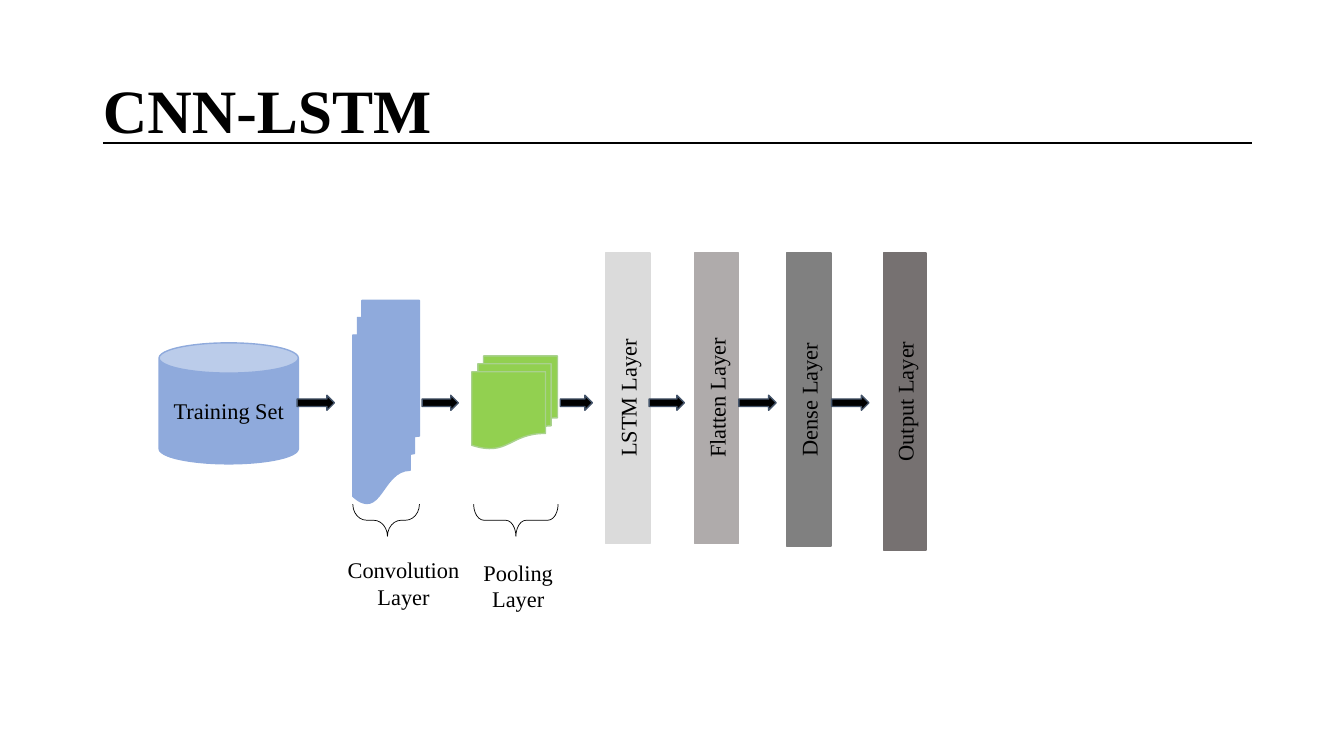
import pptx
import pptx.dml.color
import pptx.enum.shapes
import pptx.enum.text
import pptx.oxml
import pptx.util

BLACK = "000000"
KINDS = pptx.enum.shapes.MSO_SHAPE
ALIGN = pptx.enum.text.PP_ALIGN


def color(code):
    return pptx.dml.color.RGBColor.from_string(code)


def cms(*sizes):
    return [pptx.util.Cm(size) for size in sizes]


class Board:
    font = "Times New Roman"

    def __init__(self, slide):
        self.slide = slide

    def letter(self, shape, text, size=16, bold=False, align=ALIGN.CENTER):
        frame = shape.text_frame
        frame.word_wrap = True
        frame.vertical_anchor = pptx.enum.text.MSO_ANCHOR.MIDDLE
        frame.text = text
        para = frame.paragraphs[0]
        para.alignment = align
        para.font.name = self.font
        para.font.size = pptx.util.Pt(size)
        para.font.bold = bold
        para.font.color.rgb = color(BLACK)
        return para

    def title(self, text, *place):
        shape = self.slide.shapes.title
        shape.left, shape.top, shape.width, shape.height = cms(*place)
        para = self.letter(shape, text, 44, True, ALIGN.LEFT)
        para.line_spacing = 0.9

    def shape(self, kind, left, top, width, height, fill=None, line=None, weight=1):
        shape = self.slide.shapes.add_shape(kind, *cms(left, top, width, height))
        shape.shadow.inherit = False
        if fill:
            shape.fill.solid()
            shape.fill.fore_color.rgb = color(fill)
        else:
            shape.fill.background()
        shape.line.color.rgb = color(line or fill)
        shape.line.width = pptx.util.Pt(weight)
        return shape

    def arrow(self, left, width):
        self.shape(KINDS.RIGHT_ARROW, left, 9.96, width, 0.38, BLACK, "44546A")

    def bar(self, text, mid, length, thick, fill):
        # All bars share one top edge once turned
        top = 6.37 + (length - thick) / 2
        shape = self.shape(KINDS.RECTANGLE, mid - length / 2, top,
                           length, thick, fill)
        shape.rotation = 270
        self.letter(shape, text)

    def brace(self, mid, span, curl, tip):
        depth = 0.81
        shape = self.shape(KINDS.RIGHT_BRACE, mid - depth / 2, 13.11 - span / 2,
                           depth, span, line=BLACK, weight=0.5)
        shape.rotation = 90
        shape.adjustments[0] = curl
        shape.adjustments[1] = tip

    def label(self, text, *place):
        box = self.slide.shapes.add_textbox(*cms(*place))
        self.letter(box, text)

    def rule(self, left, right, top):
        line = self.slide.shapes.add_connector(
            pptx.enum.shapes.MSO_CONNECTOR.STRAIGHT, *cms(left, top, right, top))
        line.line.color.rgb = color(BLACK)
        line.line.width = pptx.util.Pt(1.5)
        line._element.spPr.append(pptx.oxml.parse_xml(
            '<a:effectLst xmlns:a="http://schemas.openxmlformats.org/'
            'drawingml/2006/main"/>'))


def main():
    deck = pptx.Presentation()
    deck.slide_width, deck.slide_height = cms(33.87, 19.05)
    board = Board(deck.slides.add_slide(deck.slide_layouts[5]))

    # Heading
    board.title("CNN-LSTM", 2.34, 1.02, 29.21, 3.68)
    board.rule(2.59, 31.55, 3.61)

    # Training data
    data = board.shape(KINDS.CAN, 4.01, 8.64, 3.51, 3.05, "8FAADC")
    board.letter(data, "Training Set")

    # Convolution and pooling stacks
    stack = KINDS.FLOWCHART_MULTIDOCUMENT
    board.shape(stack, 8.89, 7.57, 1.68, 5.13, "8FAADC")
    board.shape(stack, 11.89, 8.97, 2.16, 2.34, "92D050", "A9D18E")
    board.brace(9.73, 1.68, 0.43, 0.48)
    board.brace(13, 2.13, 0.32, 0.5)
    board.label("Convolution Layer", 8.43, 14.5, 3.48, 0.38)
    board.label("Pooling Layer", 11.56, 14.12, 3, 1.27)

    # Network layers
    for text, mid, length, thick, fill in (
            ("LSTM Layer", 15.82, 7.32, 1.12, "DBDBDB"),
            ("Flatten Layer", 18.06, 7.32, 1.12, "AFABAB"),
            ("Dense Layer", 20.38, 7.39, 1.12, "808080"),
            ("Output Layer", 22.8, 7.49, 1.07, "767171")):
        board.bar(text, mid, length, thick, fill)

    # Flow between the steps
    for left, width in ((7.49, 0.94), (10.64, 0.91), (14.12, 0.81),
                        (16.36, 0.89), (18.62, 0.94), (20.96, 0.94)):
        board.arrow(left, width)

    deck.save("out.pptx")


if __name__ == "__main__":
    main()
